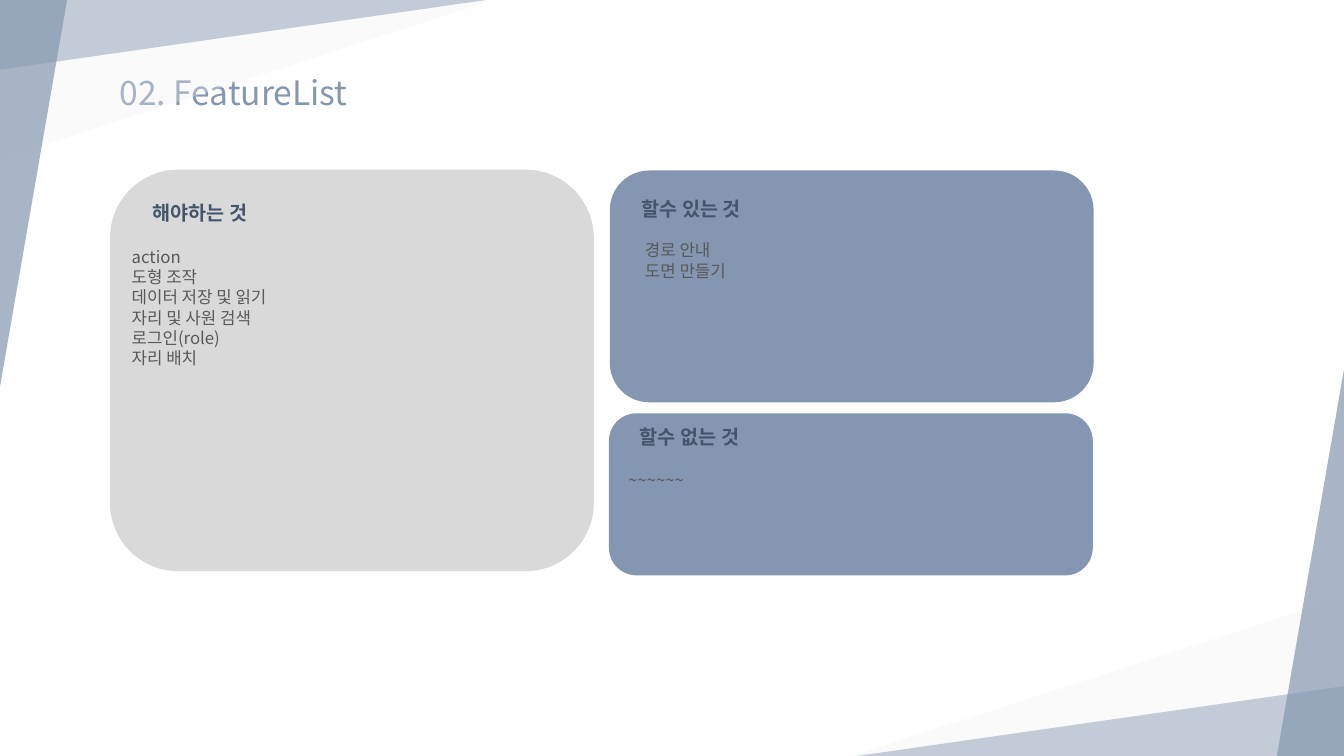
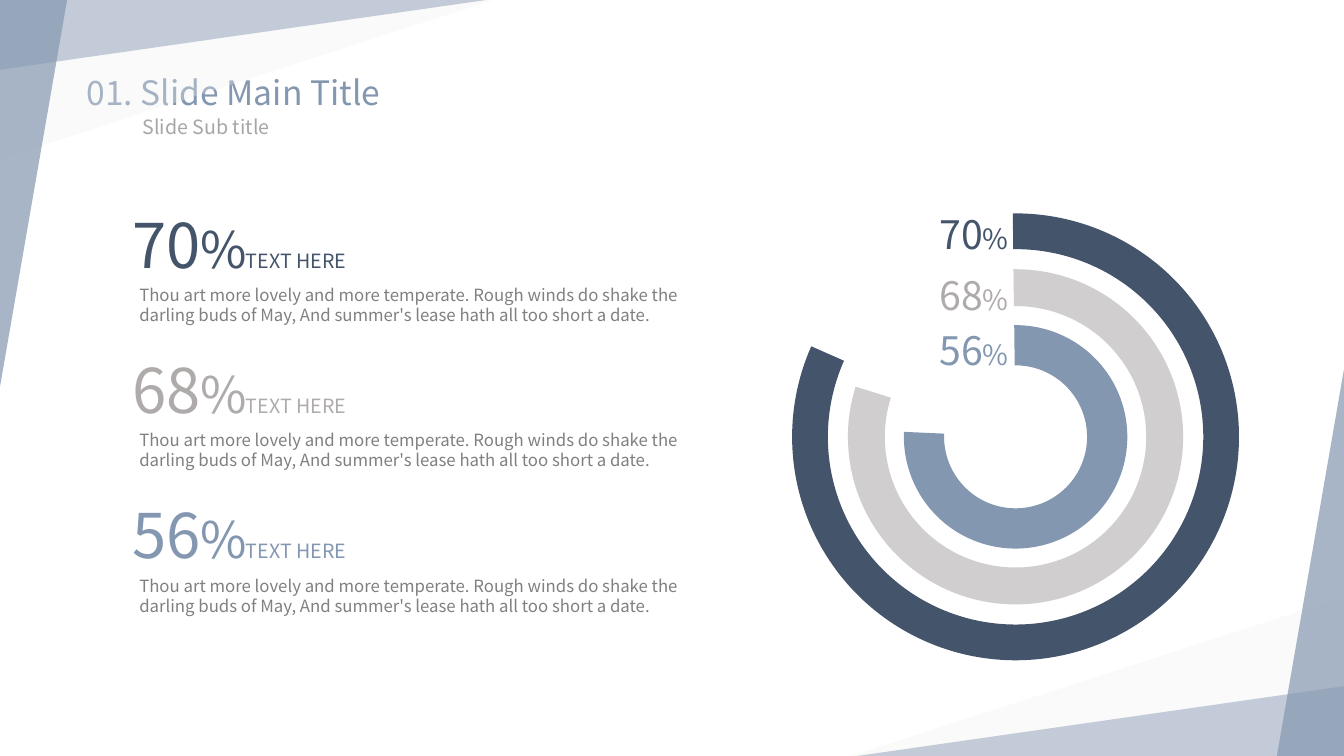
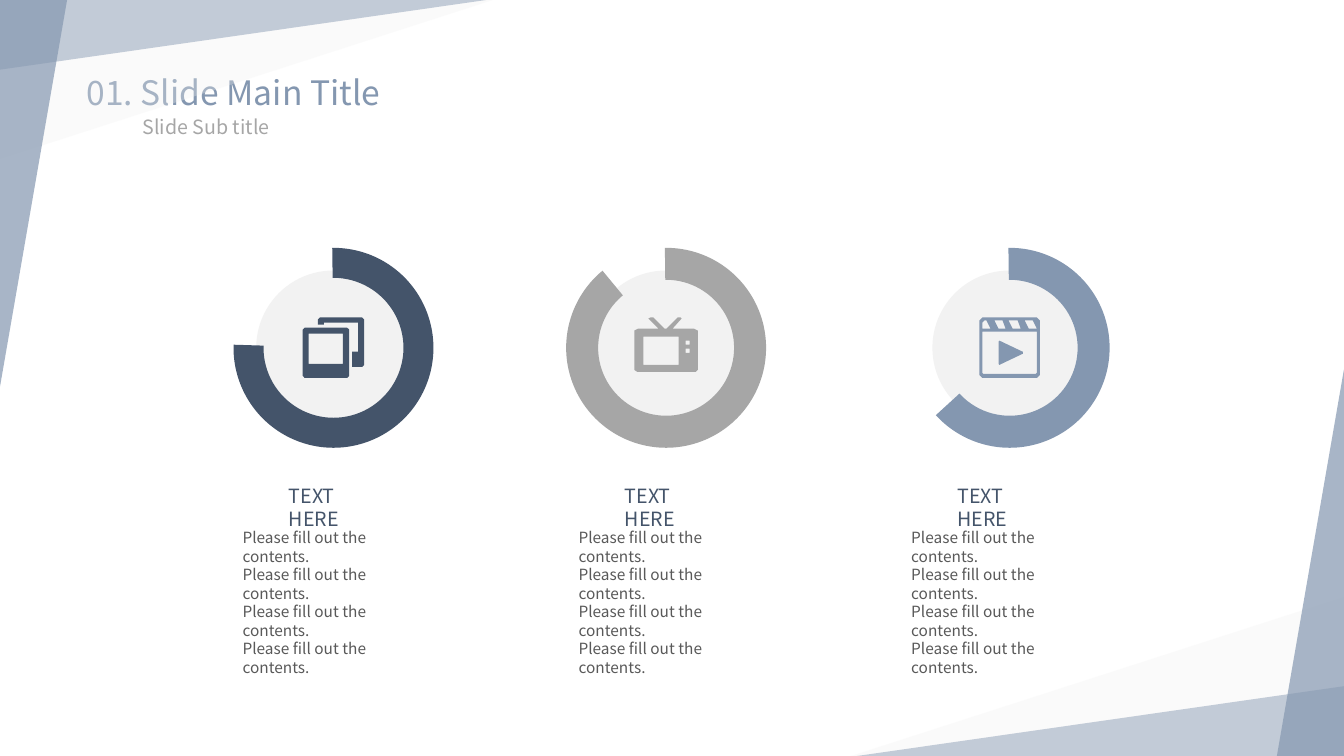
from dataclasses import dataclass
from lxml.etree import SubElement
from pptx import Presentation
from pptx.dml.color import RGBColor
from pptx.enum.shapes import MSO_SHAPE
from pptx.enum.text import MSO_ANCHOR, PP_ALIGN
from pptx.oxml.ns import qn
from pptx.util import Emu, Inches, Pt


@dataclass(frozen=True)
class Theme:
    font: str = "Noto Sans CJK KR"
    navy: str = "44546A"
    blue: str = "8497B0"
    panel: str = "8496B1"
    card: str = "D9D9D9"
    pale: str = "F2F2F2"
    ring: str = "D0CECE"
    silver: str = "AFABAB"
    gray: str = "A6A6A6"
    soft: str = "808080"
    text: str = "595959"
    title: int = 24
    head: int = 14
    body: int = 12
    small: int = 11
    huge: int = 44
    sign: int = 36
    big: int = 28
    mark: int = 20


theme = Theme()

# Grid: 160 columns by 90 rows of square cells
COLS, ROWS = 160, 90
cell = Inches(1) // 12


def label(box, at, text, size, tone, bold=False, mid=False, unit=None):
    """Place a text shape on the grid; unit is the size of a trailing % sign."""
    box.left, box.top, box.width, box.height = [Emu(round(n * cell)) for n in at]
    frame = box.text_frame
    frame.word_wrap = True
    frame.vertical_anchor = MSO_ANCHOR.TOP
    frame.text = text
    if unit:
        frame.paragraphs[0].add_run().text = "%"
    for para in frame.paragraphs:
        para.alignment = PP_ALIGN.CENTER if mid else PP_ALIGN.LEFT
        for run in para.runs:
            run.font.size = Pt(size)
            run.font.bold = bold
            run.font.color.rgb = RGBColor.from_string(tone)
            run.font.name = theme.font
            SubElement(run.font._element, qn("a:ea"), typeface=theme.font)
    if unit:
        frame.paragraphs[0].runs[-1].font.size = Pt(unit)


def paint(shape, tone, alpha=100):
    """Give a shape a flat fill, with no line and no shadow."""
    shape.shadow.inherit = False
    shape.line.fill.background()
    shape.fill.solid()
    shape.fill.fore_color.rgb = RGBColor.from_string(tone)
    if alpha < 100:
        color = shape.fill._xPr.find(qn("a:solidFill"))[0]
        SubElement(color, qn("a:alpha"), val=str(alpha * 1000))


deck = Presentation()
deck.slide_width, deck.slide_height = COLS * cell, ROWS * cell

# Shared parts: corner wedges, title and subtitle
wedges = [
    (20, -20.2, 19.1, 59.2, 270, True, theme.pale, 31),
    (0, -0.1, 8, 46.1, 180, False, theme.blue, 70),
    (25.1, -25.2, 8.4, 58.6, 270, True, theme.blue, 47),
]
titles = [
    ("02. FeatureList", ""),
    ("01. Slide Main Title", "Slide Sub title"),
    ("01. Slide Main Title", "Slide Sub title"),
]
pages = []
for title, sub in titles:
    page = deck.slides.add_slide(deck.slide_layouts[5])
    pages.append(page)
    for turn in (0, 180):
        for x, y, w, h, rot, flip, tone, alpha in wedges:
            if turn:
                x, y = COLS - x - w, ROWS - y - h
            wedge = page.shapes.add_shape(
                MSO_SHAPE.RIGHT_TRIANGLE, *[round(n * cell) for n in (x, y, w, h)])
            wedge.rotation = (rot + turn) % 360
            frame = wedge.element.spPr.get_or_add_xfrm()
            frame.set("flipH", "1")
            if flip:
                frame.set("flipV", "1")
            paint(wedge, tone, alpha)
    label(page.shapes.title, (-2.9, 8, 61.4, 6), title, theme.title, theme.blue, mid=True)
    if sub:
        box = page.shapes.add_textbox(0, 0, cell, cell)
        label(box, (8.6, 13.1, 31.9, 4.1), sub, theme.head, theme.gray, mid=True)

# Slide 1: feature panels
page = pages[0]
todo = "action\n도형 조작\n데이터 저장 및 읽기\n자리 및 사원 검색\n로그인(role)\n자리 배치"
panels = [
    ((13.1, 20.2, 57.6, 47.8), theme.card,
     "해야하는 것", (17, 23.3), todo, (14.5, 28.8)),
    ((72.6, 20.3, 57.6, 27.6), theme.panel,
     "할수 있는 것", (75.2, 22.8), "경로 안내\n도면 만들기", (75.6, 28)),
    ((72.5, 49.2, 57.6, 19.3), theme.panel,
     "할수 없는 것", (75, 50), "~~~~~~", (73.6, 55.3)),
]
for at, tone, head, spot, body, start in panels:
    panel = page.shapes.add_shape(
        MSO_SHAPE.ROUNDED_RECTANGLE, *[round(n * cell) for n in at])
    panel.adjustments[0] = 0.17
    paint(panel, tone)
    box = page.shapes.add_textbox(0, 0, cell, cell)
    label(box, (*start, 51.4, 3.6 + 2.4 * body.count("\n")), body, theme.body, theme.text)
    box = page.shapes.add_textbox(0, 0, cell, cell)
    label(box, (*spot, 15.5, 4), head, theme.head, theme.navy, bold=True)

# Slide 2: nested rings with figures, end angles in degrees
page = pages[1]
START = 89.29
quote = ("Thou art more lovely and more temperate. Rough winds do shake the "
         "darling buds of May, And summer's lease hath all too short a date.")
rings = [
    ("70", theme.navy, theme.navy, 23.9, 0.08, 24.5),
    ("68", theme.silver, theme.ring, 17.4, 0.11, 31.7),
    ("56", theme.blue, theme.blue, 2.57, 0.18, 38.3),
]
for n, (num, ink, tone, end, thick, y) in enumerate(rings):
    size = 53.2 - 13.3 * n
    arc = page.shapes.add_shape(
        MSO_SHAPE.BLOCK_ARC,
        *[round(k * cell) for k in (120.9 - size / 2, 52 - size / 2, size, size)])
    arc.rotation = 180
    for k, value in enumerate((START * 0.6, end * 0.6, thick)):
        arc.adjustments[k] = value
    paint(arc, tone)
    row = 24 + 17.3 * n
    for at, text, points, hue, mid, unit in [
        ((110.2, y, 11.5, 6.8), num, theme.big, ink, True, theme.mark),
        ((15.4, row + 9.3, 71.5, 6), quote, theme.body, theme.soft, False, None),
        ((28.1, row + 5, 15, 4.1), "TEXT HERE", theme.head, ink, False, None),
        ((14, row, 17.2, 10.1), num, theme.huge, ink, True, theme.sign),
    ]:
        box = page.shapes.add_textbox(0, 0, cell, cell)
        label(box, at, text, points, hue, mid=mid, unit=unit)

# Slide 3: icons in hundredths of an inch, four numbers make a rectangle
photo = [[
    [(0, 12), (2, 10), (44, 10), (46, 12), (46, 58), (44, 60), (2, 60), (0, 58)],
    (6, 16, 40, 46),
    [(15, 2), (17, 0), (59, 0), (61, 2), (61, 47), (59, 49), (49, 49), (49, 34),
     (55, 34), (55, 5), (21, 5), (21, 7), (15, 7)],
]]
screen = [[
    [(0, 13), (4, 11), (24, 11), (14, 1), (16, 0), (19, 0), (30, 11), (32, 11),
     (43, 0), (46, 0), (47, 1), (38, 11), (59, 11), (63, 13), (63, 52), (61, 54),
     (3, 54), (0, 52)],
    (9, 19, 44, 47),
    (51, 23, 55, 27),
    (51, 31, 55, 35),
]]
clip = [
    [[(19, 24), (20, 23), (22, 24), (43, 34), (43, 36), (22, 46), (20, 47), (19, 46)]],
    [
        [(0, 3), (3, 0), (57, 0), (60, 3), (60, 57), (57, 60), (3, 60), (0, 57)],
        [(3, 5), (5, 3), (7, 3), (11, 11), (3, 11)],
        [(15, 3), (23, 3), (26, 11), (19, 11)],
        [(29, 3), (38, 3), (41, 11), (33, 11)],
        [(45, 3), (53, 3), (57, 11), (49, 11)],
        [(3, 14), (57, 14), (57, 55), (56, 56), (4, 56), (3, 55)],
    ],
]
page = pages[2]
fill = "\n".join(["Please fill out the contents."] * 4)
dials = [
    (39.7, 33.2, theme.navy, 1.78, 0.15, photo, 61),
    (79.3, 73.2, theme.gray, 50.47, 0.16, screen, 63),
    (120.2, 112.8, theme.blue, 317.61, 0.16, clip, 60),
]
for mid, left, tone, end, thick, icon, wide in dials:
    for kind, size, hue in [(MSO_SHAPE.OVAL, 18.4, theme.pale),
                            (MSO_SHAPE.BLOCK_ARC, 23.8, tone)]:
        dial = page.shapes.add_shape(
            kind, *[round(k * cell) for k in (mid - size / 2, 41.4 - size / 2, size, size)])
        paint(dial, hue)
    dial.rotation = 180
    for k, value in enumerate((START * 0.6, end * 0.6, thick)):
        dial.adjustments[k] = value

    unit = Inches(0.01)
    for part in icon:
        pen = None
        for edge in part:
            if isinstance(edge, tuple):
                l, t, r, b = edge
                edge = [(l, t), (r, t), (r, b), (l, b)]
            if pen is None:
                pen = page.shapes.build_freeform(*edge[0], scale=unit)
            else:
                pen.move_to(*edge[0])
            pen.add_line_segments(edge[1:], close=True)
        origin = round(mid * cell - wide * unit / 2), round(37.8 * cell)
        paint(pen.convert_to_shape(*origin), tone)

    box = page.shapes.add_textbox(0, 0, cell, cell)
    label(box, (left, 57, 13.5, 4.1), "TEXT HERE", theme.head, theme.navy)
    box = page.shapes.add_textbox(0, 0, cell, cell)
    label(box, (left - 5.5, 62.3, 24.7, 10.1), fill, theme.small, theme.text)

deck.save("out.pptx")
